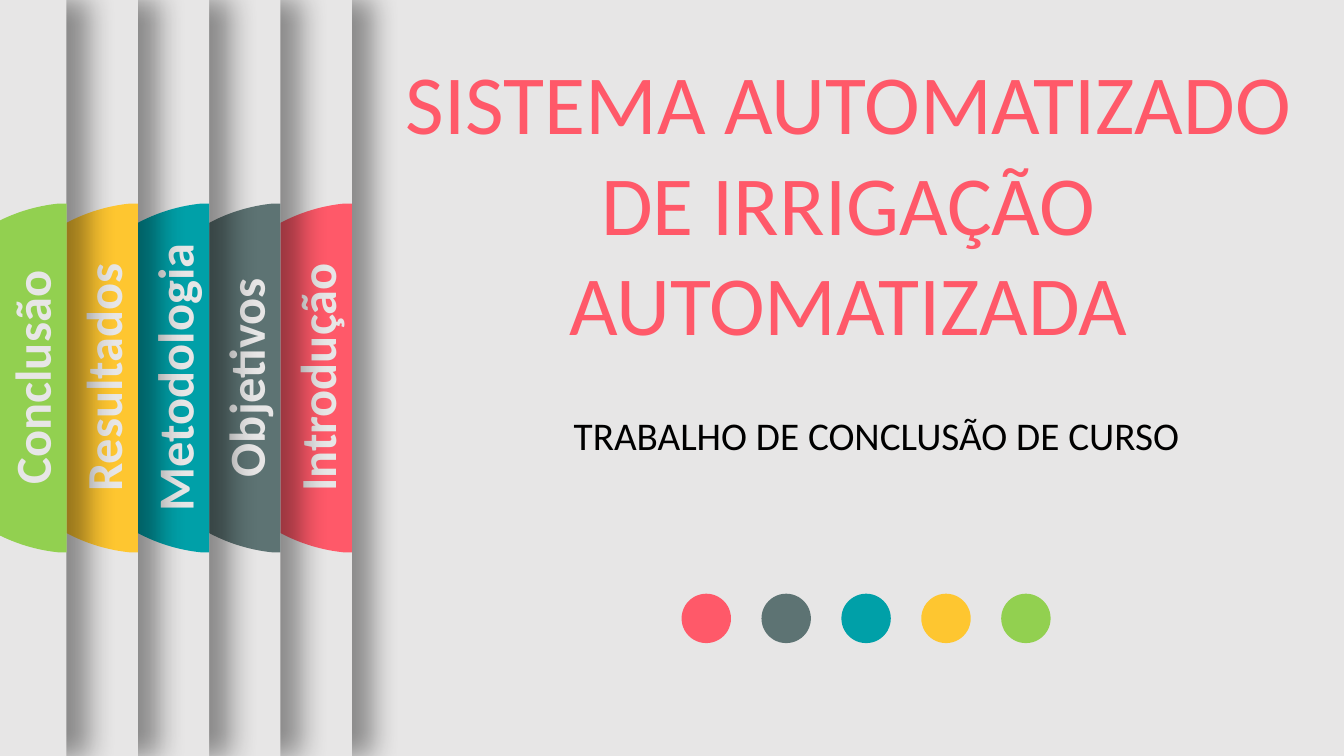
from lxml import etree
from pptx import Presentation
from pptx.dml.color import RGBColor
from pptx.enum.shapes import MSO_SHAPE as Shape
from pptx.enum.text import MSO_AUTO_SIZE as AutoSize, PP_ALIGN as Align
from pptx.oxml.ns import qn
from pptx.util import Inches, Pt

# Content
TITLE = "SISTEMA AUTOMATIZADO DE IRRIGAÇÃO AUTOMATIZADA"
SUBTITLE = "TRABALHO DE CONCLUSÃO DE CURSO"
SECTIONS = [
    ("Introdução", "FF5969"),
    ("Objetivos", "5D7373"),
    ("Metodologia", "00A0A8"),
    ("Resultados", "FEC630"),
    ("Conclusão", "92D050"),
]
GREY, BLACK = "E7E6E6", "000000"

# Measures in inches
WIDTH, HEIGHT = 13.33, 7.5
FIRST_EDGE, LAST_EDGE = 3.49, 0.66
LABEL_LENGTH, LABEL_HEIGHT = 3.46, 0.71
FIRST_DOT, LAST_DOT, DOT_TOP, DOT_SIZE = 6.76, 9.93, 5.89, 0.49
GAPS = len(SECTIONS) - 1

# Tab outline as (distance left of the panel edge, distance below mid-height):
# two corners, then two curves of three points each
TAB_OUTLINE = [
    (0, -1.73), (0, 1.73), (0.08, 1.73),
    (0.95, 1.64), (1.63, 0.9), (1.63, 0),
    (1.63, -0.9), (0.95, -1.64), (0.08, -1.73),
]


def set_fill(fill, colour):
    fill.solid()
    fill.fore_color.rgb = RGBColor.from_string(colour)


def paint(shape, colour):
    shape.shadow.inherit = False
    set_fill(shape.fill, colour)
    shape.line.fill.background()


def add_text(shapes, text, left, top, width, height, *, size, colour,
             bold=False, align=Align.CENTER, rotation=0, inset=0.1):
    box = shapes.add_textbox(*map(Inches, (left, top, width, height)))
    box.rotation = rotation
    frame = box.text_frame
    frame.word_wrap = True
    frame.auto_size = AutoSize.SHAPE_TO_FIT_TEXT
    frame.margin_left = Inches(inset)
    para = frame.paragraphs[0]
    para.alignment = align
    span = para.add_run()
    span.text = text
    font = span.font
    font.name, font.size, font.bold = "Calibri", Pt(size), bold
    font.color.rgb = RGBColor.from_string(colour)


def add_side_shadow(shape):
    effects = shape._element.spPr.find(qn("a:effectLst"))
    shadow = etree.SubElement(effects, qn("a:outerShdw"), blurRad=str(Pt(20)),
                              dist=str(Pt(15)), dir="0", algn="l", rotWithShape="0")
    colour = etree.SubElement(shadow, qn("a:srgbClr"), val=BLACK)
    etree.SubElement(colour, qn("a:alpha"), val="40000")


def add_tab(shapes, edge, colour):
    """Round tab cut off by the right edge of its panel."""
    points = [(Inches(edge - x), Inches(HEIGHT / 2 + y)) for x, y in TAB_OUTLINE]
    builder = shapes.build_freeform(*points[0])
    builder.add_line_segments(points[1:], close=True)
    tab = builder.convert_to_shape()
    paint(tab, colour)
    # Turn the last six lines into two curves
    lines = list(tab._element.spPr.iter(qn("a:lnTo")))
    for first in (2, 5):
        curve = etree.Element(qn("a:cubicBezTo"))
        lines[first].addprevious(curve)
        for line in lines[first:first + 3]:
            curve.append(line[0])
            line.getparent().remove(line)


deck = Presentation()
deck.slide_width, deck.slide_height = Inches(WIDTH), Inches(HEIGHT)
page = deck.slides.add_slide(deck.slide_layouts[6])
set_fill(page.background.fill, GREY)

# Stacked panels with a section tab each
for index, (name, colour) in enumerate(SECTIONS):
    edge = FIRST_EDGE + index * (LAST_EDGE - FIRST_EDGE) / GAPS
    shapes = page.shapes.add_group_shape().shapes
    panel = shapes.add_shape(Shape.RECTANGLE, Inches(edge - WIDTH), 0,
                             Inches(WIDTH), Inches(HEIGHT))
    paint(panel, GREY)
    add_side_shadow(panel)
    add_tab(shapes, edge, colour)
    add_text(shapes, name, edge - 0.35 - LABEL_LENGTH / 2, 3.39,
             LABEL_LENGTH, LABEL_HEIGHT, size=36, colour=GREY, bold=True, rotation=270)

# Title and subtitle
add_text(page.shapes, TITLE, 3.5, 0.45, 9.83, 3.13, size=60, colour="FF5969")
add_text(page.shapes, SUBTITLE, 4.59, 4.03, 8.01, 0.57, size=28, colour=BLACK,
         align=Align.LEFT, inset=1.1)

# Row of dots in the section colours
dots = page.shapes.add_group_shape().shapes
for index, (_, colour) in enumerate(SECTIONS):
    left = FIRST_DOT + index * (LAST_DOT - FIRST_DOT) / GAPS
    dot = dots.add_shape(Shape.OVAL, Inches(left), Inches(DOT_TOP),
                         Inches(DOT_SIZE), Inches(DOT_SIZE))
    paint(dot, colour)

deck.save("out.pptx")
